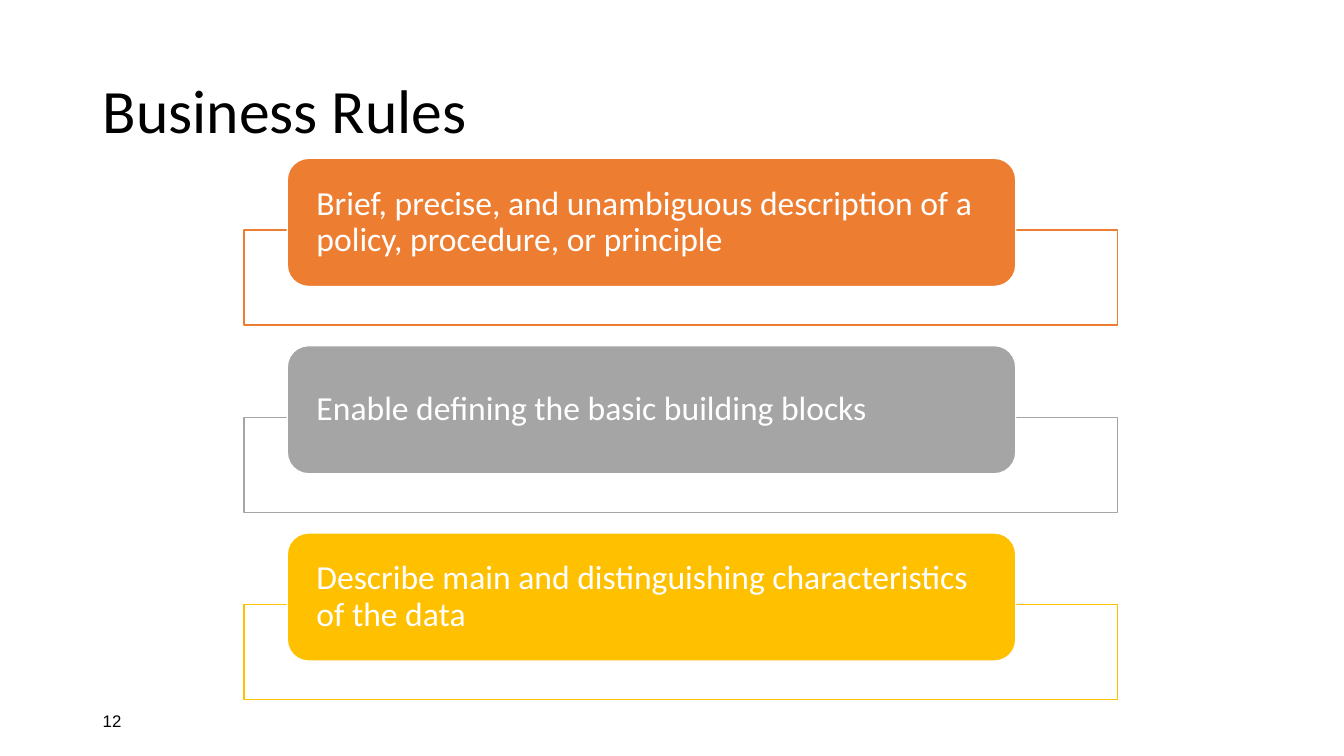
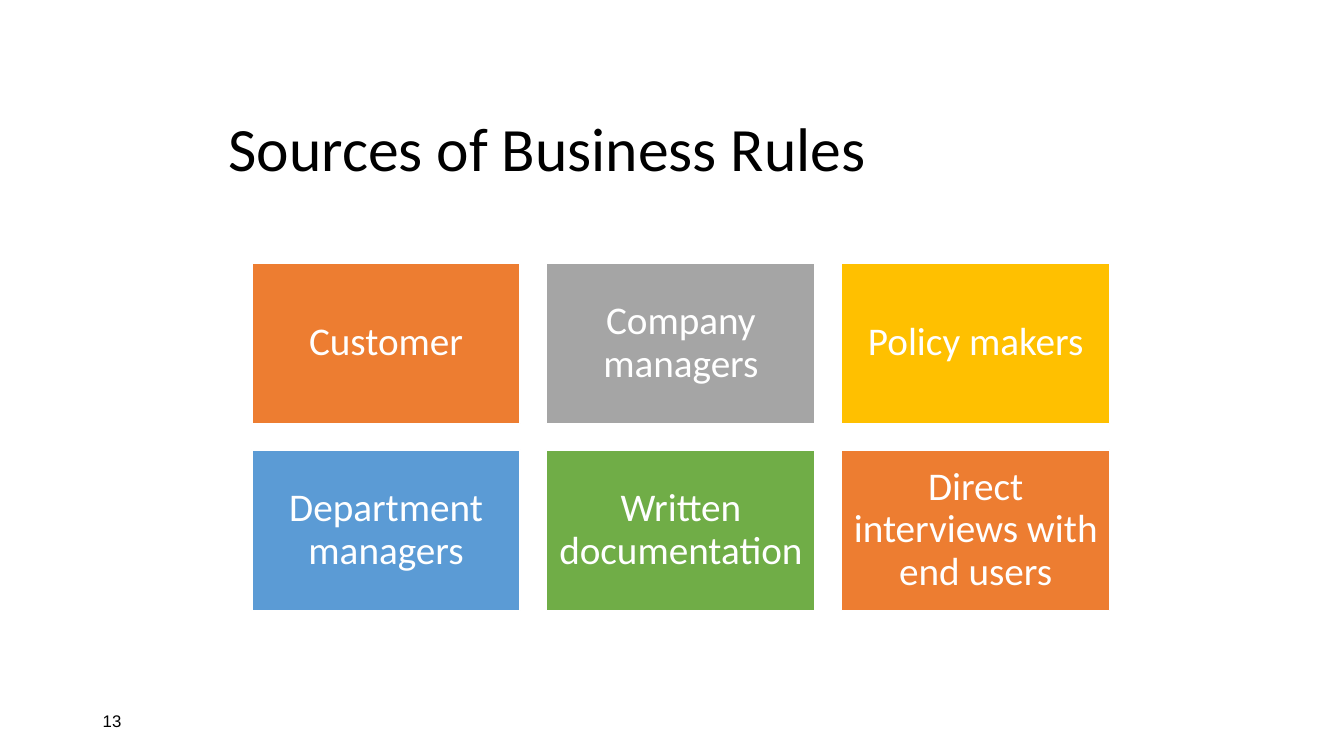
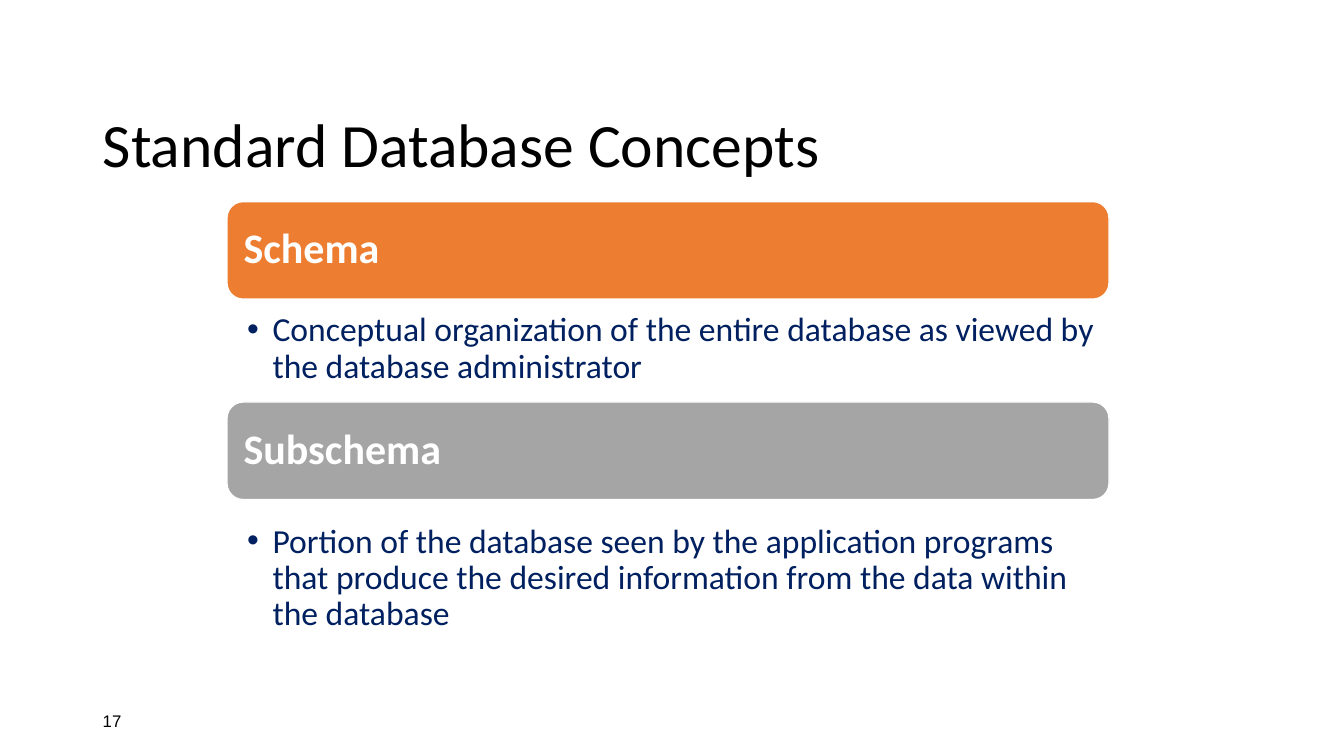
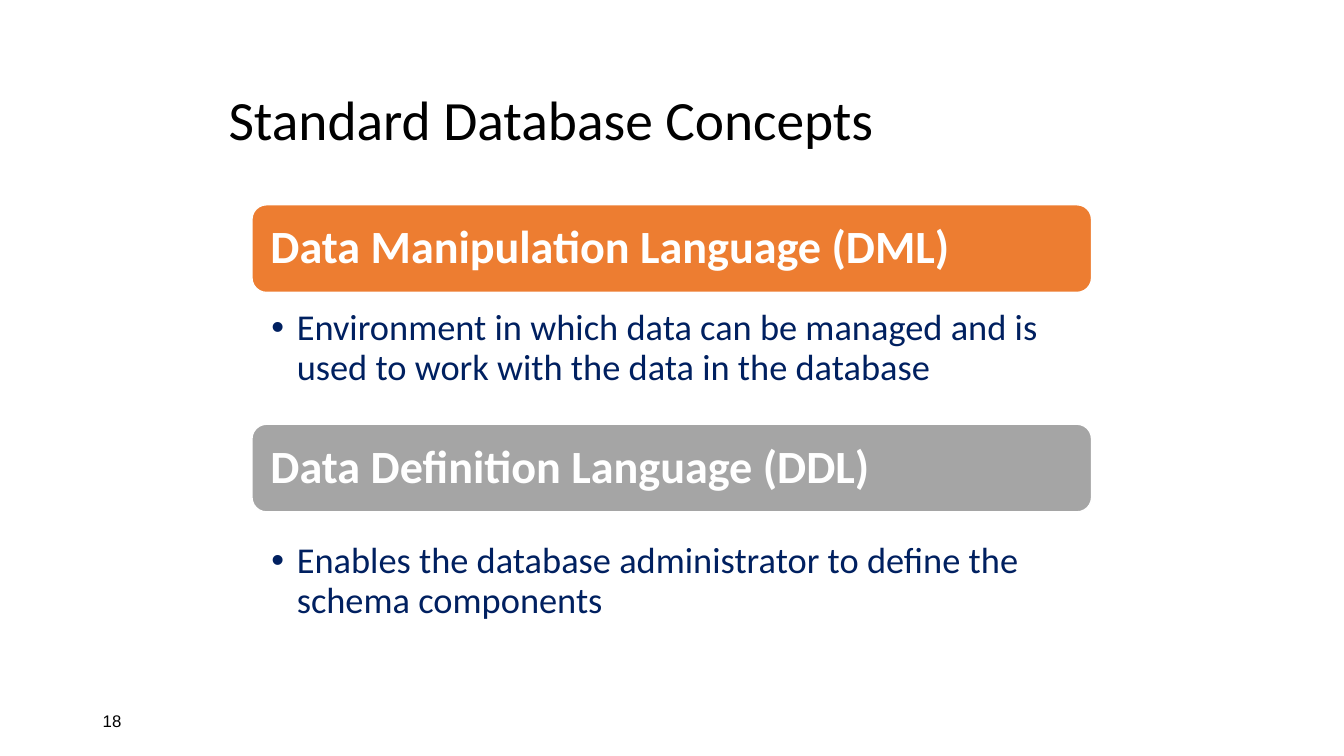
from pptx import Presentation
from pptx import util as u
from pptx.dml.color import RGBColor
from pptx.enum import shapes, text
from pptx.oxml.ns import qn
from lxml import etree

BLACK, WHITE, NAVY = "000000", "FFFFFF", "002060"
ORANGE, GREY, GOLD, BLUE, GREEN = "ED7D31", "A5A5A5", "FFC000", "5B9BD5", "70AD47"
BODY_FONT, NUMBER_FONT = "Calibri", "Arial"
LEFT, CENTER = text.PP_ALIGN.LEFT, text.PP_ALIGN.CENTER
TOP, MIDDLE = text.MSO_ANCHOR.TOP, text.MSO_ANCHOR.MIDDLE
RECT, ROUNDED = shapes.MSO_SHAPE.RECTANGLE, shapes.MSO_SHAPE.ROUNDED_RECTANGLE
MARGIN_LEFT, INNER_LEFT = 2.34, 5.51
DEFAULT_INSETS = (0.25, 0.13, 0.25, 0.13)


def rgb(value):
    return RGBColor.from_string(value)


def cm(*lengths):
    return [u.Cm(length) for length in lengths]


def add_bullet(paragraph, indent=0.64):
    properties = paragraph._p.get_or_add_pPr()
    properties.set("marL", str(u.Cm(indent)))
    properties.set("indent", str(-u.Cm(indent)))
    etree.SubElement(properties, qn("a:buFont")).set("typeface", "Arial")
    etree.SubElement(properties, qn("a:buChar")).set("char", "•")


def write(shape, wording, size, color, font=BODY_FONT, bold=False, align=LEFT,
          anchor=MIDDLE, insets=DEFAULT_INSETS, spacing=0.9, bullet=False):
    """Fill a shape with one formatted paragraph; insets run left, top, right, bottom."""
    frame = shape.text_frame
    frame.word_wrap = True
    frame.vertical_anchor = anchor
    (frame.margin_left, frame.margin_top,
     frame.margin_right, frame.margin_bottom) = cm(*insets)
    frame.text = wording
    paragraph = frame.paragraphs[0]
    paragraph.alignment = align
    paragraph.line_spacing = spacing
    if bullet:
        add_bullet(paragraph)
    style = paragraph.runs[0].font
    style.name, style.size, style.bold = font, u.Pt(size), bold
    style.color.rgb = rgb(color)


def add_label(slide, box, wording, size, color, **style):
    write(slide.shapes.add_textbox(*cm(*box)), wording, size, color, **style)


def add_panel(slide, kind, box, fill, line=WHITE):
    panel = slide.shapes.add_shape(kind, *cm(*box))
    panel.shadow.inherit = False
    panel.fill.solid()
    panel.fill.fore_color.rgb = rgb(fill)
    panel.line.color.rgb = rgb(line)
    panel.line.width = u.Pt(1)
    return panel


def add_slide(deck, number, title, left, center, width, size=44):
    """Start a slide with its number and a title centred vertically on center."""
    slide = deck.slides.add_slide(deck.slide_layouts[6])
    height = 2
    add_label(slide, (left, center - height / 2, width, height), title, size, BLACK)
    add_label(slide, (MARGIN_LEFT, 17.65, 7.62, 1.02), str(number), 12, BLACK,
              font=NUMBER_FONT, spacing=1)
    return slide


def add_framed_statements(slide, statements):
    pitch = 4.72
    for row, (wording, color) in enumerate(statements):
        offset = row * pitch
        add_panel(slide, RECT, (6.15, 5.8 + offset, 22.02, 2.39), WHITE, color)
        chip = add_panel(slide, ROUNDED, (7.24, 3.99 + offset, 18.36, 3.23), color)
        write(chip, wording, 24, WHITE, insets=(0.58, 0, 0.58, 0))


def add_tiles(slide, tiles, columns=3):
    width, height, gap = 6.76, 4.04, 0.67
    for index, (wording, color) in enumerate(tiles):
        row, column = divmod(index, columns)
        box = (6.35 + column * (width + gap), 6.63 + row * (height + gap), width, height)
        write(add_panel(slide, RECT, box, color), wording, 28, WHITE,
              align=CENTER, insets=(0.3,) * 4)


def add_definitions(slide, definitions, left, width, bar_height, term_size,
                    meaning_size, term_inset, meaning_insets):
    """Stack coloured term bars, each with its bulleted meaning below."""
    for term, meaning, color, bar_top, meaning_top in definitions:
        bar = add_panel(slide, ROUNDED, (left, bar_top, width, bar_height), color)
        write(bar, term, term_size, WHITE, bold=True, insets=(term_inset,) * 4)
        add_label(slide, (left - 0.2, meaning_top, width + 0.43, 3), meaning,
                  meaning_size, NAVY, anchor=TOP, insets=meaning_insets, bullet=True)


def main():
    deck = Presentation()
    deck.slide_width, deck.slide_height = cm(33.87, 19.05)

    rules = add_slide(deck, 12, "Business Rules", MARGIN_LEFT, 2.86, 29.21)
    add_framed_statements(rules, [
        ("Brief, precise, and unambiguous description of a policy, procedure, "
         "or principle", ORANGE),
        ("Enable defining the basic building blocks", GREY),
        ("Describe main and distinguishing characteristics of the data", GOLD),
    ])

    sources = add_slide(deck, 13, "Sources of Business Rules", INNER_LEFT, 3.82, 22.86)
    add_tiles(sources, [
        ("Customer", ORANGE),
        ("Company managers", GREY),
        ("Policy makers", GOLD),
        ("Department managers", BLUE),
        ("Written documentation", GREEN),
        ("Direct interviews with end users", ORANGE),
    ])

    concepts = "Standard Database Concepts"
    schemas = add_slide(deck, 17, concepts, MARGIN_LEFT, 3.71, 29.21)
    add_definitions(schemas, [
        ("Schema", "Conceptual organization of the entire database as viewed by "
         "the database administrator", ORANGE, 5.08, 7.8),
        ("Subschema", "Portion of the database seen by the application programs "
         "that produce the desired information from the data within the database",
         GREY, 10.13, 13.13),
    ], left=5.72, width=22.23, bar_height=2.46, term_size=30, meaning_size=24,
        term_inset=0.3, meaning_insets=(0.71, 0.08, 0.48, 0.08))

    languages = add_slide(deck, 18, concepts, INNER_LEFT, 3.09, 22.86, size=39.6)
    add_definitions(languages, [
        ("Data Manipulation Language (DML)", "Environment in which data can be "
         "managed and is used to work with the data in the database",
         ORANGE, 5.16, 7.67),
        ("Data Definition Language (DDL)", "Enables the database administrator to "
         "define the schema components", GREY, 10.69, 13.54),
    ], left=6.35, width=21.16, bar_height=2.21, term_size=33, meaning_size=26,
        term_inset=0.36, meaning_insets=(0.69, 0.13, 0.66, 0.13))

    deck.save("out.pptx")


if __name__ == "__main__":
    main()
